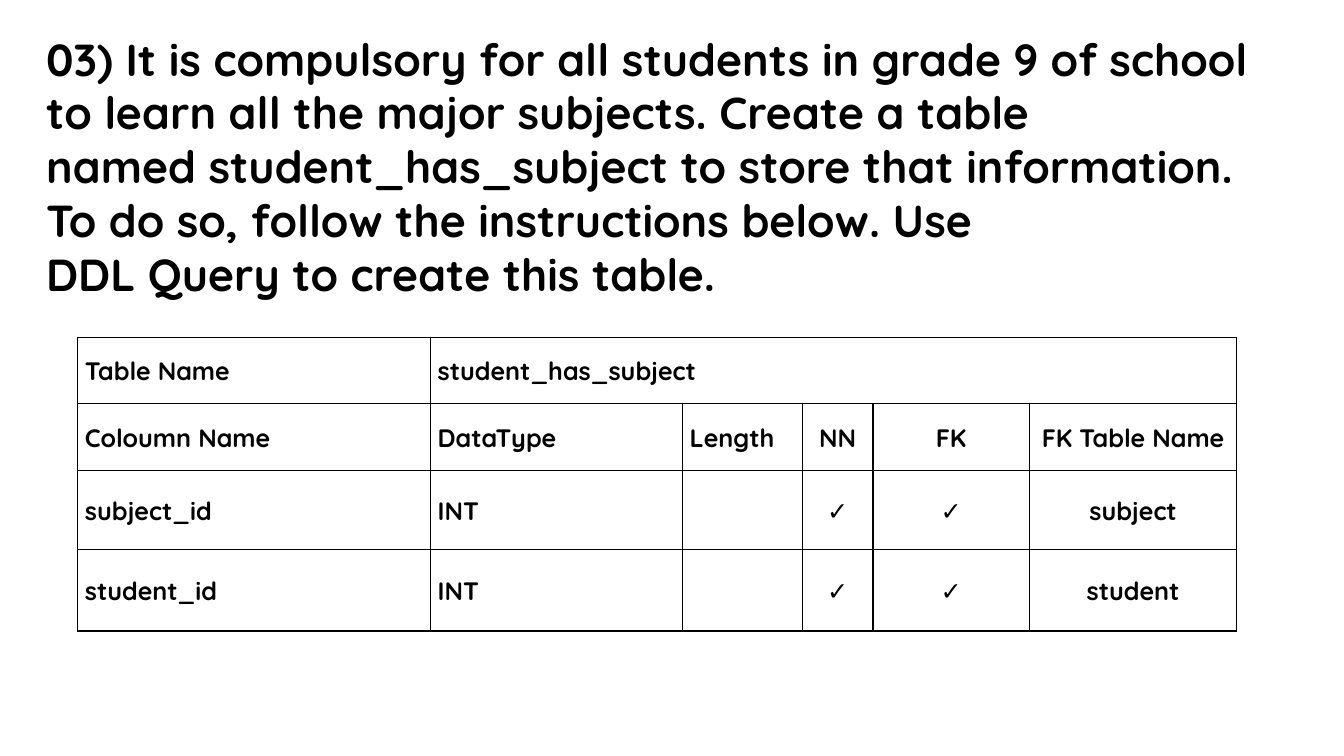
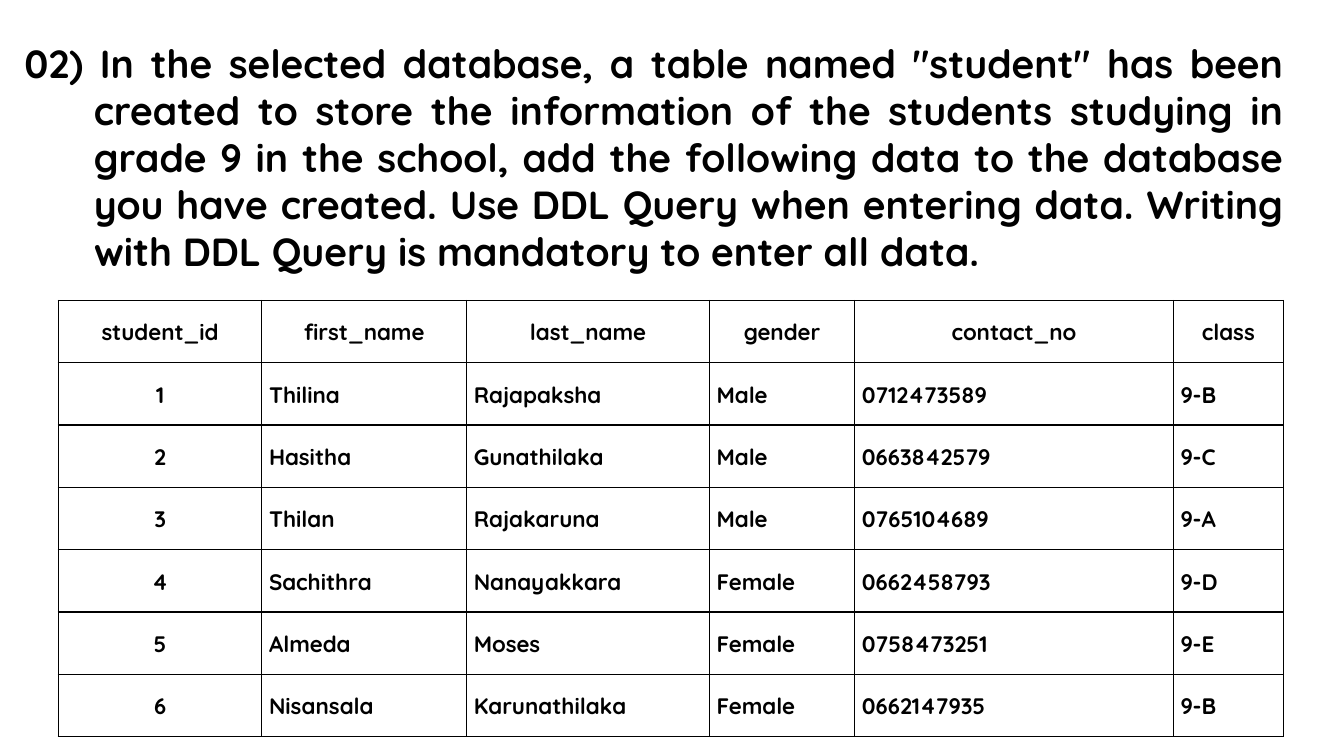
from lxml import etree
from pptx import Presentation
from pptx.dml.color import RGBColor
from pptx.enum.text import MSO_ANCHOR, MSO_AUTO_SIZE, PP_ALIGN
from pptx.oxml.ns import qn
from pptx.util import Cm, Pt

LEFT, CENTER, JUSTIFY = PP_ALIGN.LEFT, PP_ALIGN.CENTER, PP_ALIGN.JUSTIFY
TOP, MIDDLE = MSO_ANCHOR.TOP, MSO_ANCHOR.MIDDLE
GROW = MSO_AUTO_SIZE.SHAPE_TO_FIT_TEXT
FONT = "Quicksand"
INK = "000000"
PAPER = "FFFFFF"
BORDER_SIDES = ("a:lnL", "a:lnR", "a:lnT", "a:lnB")
CELL_INSET = Cm(0.18)
TITLE_ONLY = 5


def color(value):
    return RGBColor.from_string(value)


def write(frame, text, size, align=LEFT, anchor=TOP, spacing=1.0, after=0, hanging=0):
    frame.word_wrap = True
    frame.vertical_anchor = anchor
    for index, line in enumerate(text.split("\n")):
        paragraph = frame.add_paragraph() if index else frame.paragraphs[0]
        paragraph.alignment = align
        paragraph.line_spacing = spacing
        paragraph.space_before = Pt(0)
        paragraph.space_after = Pt(after)
        if hanging:
            properties = paragraph._p.get_or_add_pPr()
            properties.set("marL", str(Cm(hanging)))
            properties.set("indent", str(-Cm(hanging)))
        run = paragraph.add_run()
        run.text = line
        run.font.name = FONT
        run.font.size = Pt(size)
        run.font.bold = True
        run.font.color.rgb = color(INK)


questions = [
    {
        "title": "03) It is compulsory for all students in grade 9 of school "
                 "to learn all the major subjects. Create a table\n"
                 "named student_has_subject to store that information. "
                 "To do so, follow the instructions below. Use\n"
                 "DDL Query to create this table.",
        "title_format": {"size": 32},
        "title_box": (0.91, 0.66, 31.27, 7.09),
        "table_corner": (1.96, 8.51),
        "columns": [8.89, 6.35, 3.02, 1.78, 3.94, 5.23],
        "rows": [1.65, 1.7, 1.98, 2.06],
        "cell_size": 18,
        "centered_rows": [],
        "centered_columns": [3, 4, 5],
        "merges": [((0, 1), (0, 5))],
        "cells": [
            ["Table Name", "student_has_subject"],
            ["Coloumn Name", "DataType", "Length", "NN", "FK", "FK Table Name"],
            ["subject_id", "INT", "", "✓", "✓", "subject"],
            ["student_id", "INT", "", "✓", "✓", "student"],
        ],
    },
    {
        "title": '02) In the selected database, a table named "student" has been '
                 "created to store the information of the students studying in "
                 "grade 9 in the school, add the following data to the database "
                 "you have created. Use DDL Query when entering data. Writing "
                 "with DDL Query is mandatory to enter all data.",
        "title_format": {"size": 28, "align": JUSTIFY, "hanging": 1.75},
        "title_box": (0.36, 0.86, 32.23, 6.25),
        "table_corner": (1.47, 7.57),
        "columns": [5.13, 5.16, 6.12, 3.66, 8.03, 2.77],
        "rows": [1.57] * 7,
        "cell_size": 16,
        "centered_rows": [0],
        "centered_columns": [0],
        "merges": [],
        "cells": [
            ["student_id", "first_name", "last_name", "gender", "contact_no", "class"],
            ["1", "Thilina", "Rajapaksha", "Male", "0712473589", "9-B"],
            ["2", "Hasitha", "Gunathilaka", "Male", "0663842579", "9-C"],
            ["3", "Thilan", "Rajakaruna", "Male", "0765104689", "9-A"],
            ["4", "Sachithra", "Nanayakkara", "Female", "0662458793", "9-D"],
            ["5", "Almeda", "Moses", "Female", "0758473251", "9-E"],
            ["6", "Nisansala", "Karunathilaka", "Female", "0662147935", "9-B"],
        ],
    },
]

presentation = Presentation()
presentation.slide_width = Cm(33.87)
presentation.slide_height = Cm(19.05)
background = presentation.slide_master.background.fill
background.solid()
background.fore_color.rgb = color(PAPER)

for question in questions:
    slide = presentation.slides.add_slide(presentation.slide_layouts[TITLE_ONLY])
    title = slide.shapes.title
    title.left, title.top, title.width, title.height = map(Cm, question["title_box"])
    write(title.text_frame, question["title"], **question["title_format"])
    title.text_frame.auto_size = GROW

    columns, rows = question["columns"], question["rows"]
    left, top = question["table_corner"]
    table = slide.shapes.add_table(
        len(rows), len(columns), Cm(left), Cm(top), Cm(sum(columns)), Cm(sum(rows))
    ).table
    table.first_row = False
    table.horz_banding = False
    for column, width in zip(table.columns, columns):
        column.width = Cm(width)
    for row, height in zip(table.rows, rows):
        row.height = Cm(height)
    for start, end in question["merges"]:
        table.cell(*start).merge(table.cell(*end))

    for cell in table.iter_cells():
        cell.margin_left = cell.margin_right = CELL_INSET
        cell.margin_top = cell.margin_bottom = 0
        cell_properties = cell._tc.get_or_add_tcPr()
        for side in BORDER_SIDES:
            border = etree.SubElement(cell_properties, qn(side), w=str(Pt(1)))
            border_fill = etree.SubElement(border, qn("a:solidFill"))
            etree.SubElement(border_fill, qn("a:srgbClr"), val=INK)
        cell.fill.background()

    for row_index, texts in enumerate(question["cells"]):
        for column_index, text in enumerate(texts):
            if text:
                centered = (row_index in question["centered_rows"]
                            or column_index in question["centered_columns"])
                cell = table.cell(row_index, column_index)
                write(cell.text_frame, text, question["cell_size"],
                      align=CENTER if centered else LEFT, spacing=1.07, after=8)
                cell.vertical_anchor = MIDDLE

presentation.save("out.pptx")
